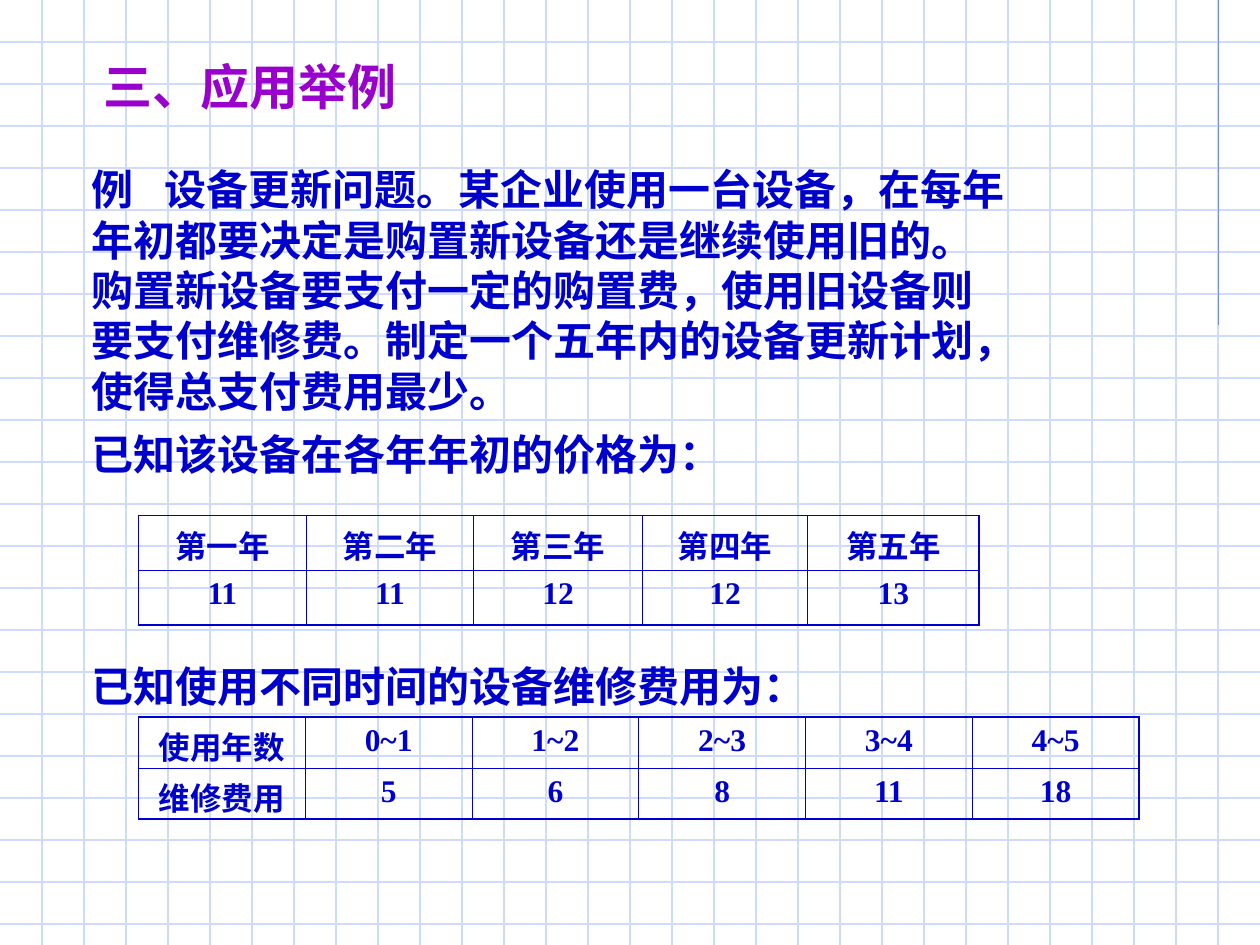
from dataclasses import dataclass

from lxml import etree
from pptx import Presentation
from pptx.dml.color import RGBColor
from pptx.enum.shapes import MSO_CONNECTOR
from pptx.enum.text import MSO_AUTO_SIZE, PP_ALIGN
from pptx.oxml.ns import qn
from pptx.util import Inches, Pt

STRAIGHT = MSO_CONNECTOR.STRAIGHT
GROW = MSO_AUTO_SIZE.SHAPE_TO_FIT_TEXT
CENTER = PP_ALIGN.CENTER


@dataclass(frozen=True)
class Theme:
    font: str = "Times New Roman"
    grid: str = "CFDBFD"
    margin: str = "6F89F7"
    heading: str = "9900CC"
    body: str = "0000CC"
    heading_size: float = 28
    body_size: float = 24
    table_size: float = 18
    grid_width: float = 0.75
    outer_border: float = 1.08
    inner_border: float = 0.45


theme = Theme()


def add_line(shapes, x1, y1, x2, y2, color):
    line = shapes.add_connector(STRAIGHT, Inches(x1), Inches(y1), Inches(x2), Inches(y2))
    line.line.color.rgb = RGBColor.from_string(color)
    line.line.width = Pt(theme.grid_width)
    etree.SubElement(line._element.spPr, qn("a:effectLst"))


def style_paragraph(para, size, color, space_before):
    para.space_before = Pt(space_before)
    para.font.name = theme.font
    para.font.size = Pt(size)
    para.font.bold = True
    para.font.color.rgb = RGBColor.from_string(color)


deck = Presentation()
deck.slide_width = Inches(10)
deck.slide_height = Inches(7.5)
slide = deck.slides.add_slide(deck.slide_layouts[6])

grid = slide.shapes.add_group_shape()
for row in range(1, 23):
    add_line(grid.shapes, 0, row / 3, 10, row / 3, theme.grid)
for column in range(1, 30):
    add_line(grid.shapes, column / 3, 0, column / 3, 7.5, theme.grid)
add_line(slide.shapes, 9.67, 0, 9.67, 2.58, theme.margin)

problem = (
    "例\t设备更新问题。某企业使用一台设备，在每年年初都要决定是购置新设备还是继续使用旧的。"
    "购置新设备要支付一定的购置费，使用旧设备则要支付维修费。"
    "制定一个五年内的设备更新计划，使得总支付费用最少。"
)
texts = [
    ("三、应用举例", 0.72, 0.4, 3.48, 0.57, theme.heading_size, theme.heading, 17.5),
    (problem, 0.63, 1.25, 7.49, 0.9, theme.body_size, theme.body, 15),
    ("已知该设备在各年年初的价格为：", 0.63, 3.35, 5.26, 0.5, theme.body_size, theme.body, 15),
    ("已知使用不同时间的设备维修费用为：", 0.63, 5.19, 6.44, 0.5, theme.body_size, theme.body, 15),
]
for text, left, top, width, height, size, color, space_before in texts:
    box = slide.shapes.add_textbox(Inches(left), Inches(top), Inches(width), Inches(height))
    box.text_frame.word_wrap = True
    box.text_frame.auto_size = GROW
    para = box.text_frame.paragraphs[0]
    para.text = text
    style_paragraph(para, size, color, space_before)
    if "\t" in text:
        tabs = etree.Element(qn("a:tabLst"))
        etree.SubElement(tabs, qn("a:tab"), pos=str(Inches(0.58)), algn="l")
        para._p.pPr.find(qn("a:spcBef")).addnext(tabs)

prices = [
    ["第一年", "第二年", "第三年", "第四年", "第五年"],
    ["11", "11", "12", "12", "13"],
]
repairs = [
    ["使用年数", "0~1", "1~2", "2~3", "3~4", "4~5"],
    ["维修费用", "5", "6", "8", "11", "18"],
]
tables = [
    (prices, 4.09, 0.87, [1.33, 1.33, 1.34, 1.31, 1.36]),
    (repairs, 5.69, 0.81, [7.94 / 6] * 6),
]
for values, top, height, widths in tables:
    last_row, last_column = len(values) - 1, len(widths) - 1
    table = slide.shapes.add_table(
        len(values), len(widths), Inches(1.1), Inches(top), Inches(sum(widths)), Inches(height)
    ).table
    table.first_row = False
    table.horz_banding = False
    for column, width in zip(table.columns, widths):
        column.width = Inches(width)
    for r, row_values in enumerate(values):
        for c, value in enumerate(row_values):
            cell = table.cell(r, c)
            para = cell.text_frame.paragraphs[0]
            para.text = value
            para.alignment = CENTER
            style_paragraph(para, theme.table_size, theme.body, 4.5)
            outer_sides = {"lnL": c == 0, "lnR": c == last_column, "lnT": r == 0, "lnB": r == last_row}
            properties = cell._tc.get_or_add_tcPr()
            for side, is_outer in outer_sides.items():
                width = theme.outer_border if is_outer else theme.inner_border
                border = etree.SubElement(properties, qn(f"a:{side}"), w=str(Pt(width)))
                fill = etree.SubElement(border, qn("a:solidFill"))
                etree.SubElement(fill, qn("a:srgbClr"), val=theme.body)
            cell.fill.background()

deck.save("out.pptx")
